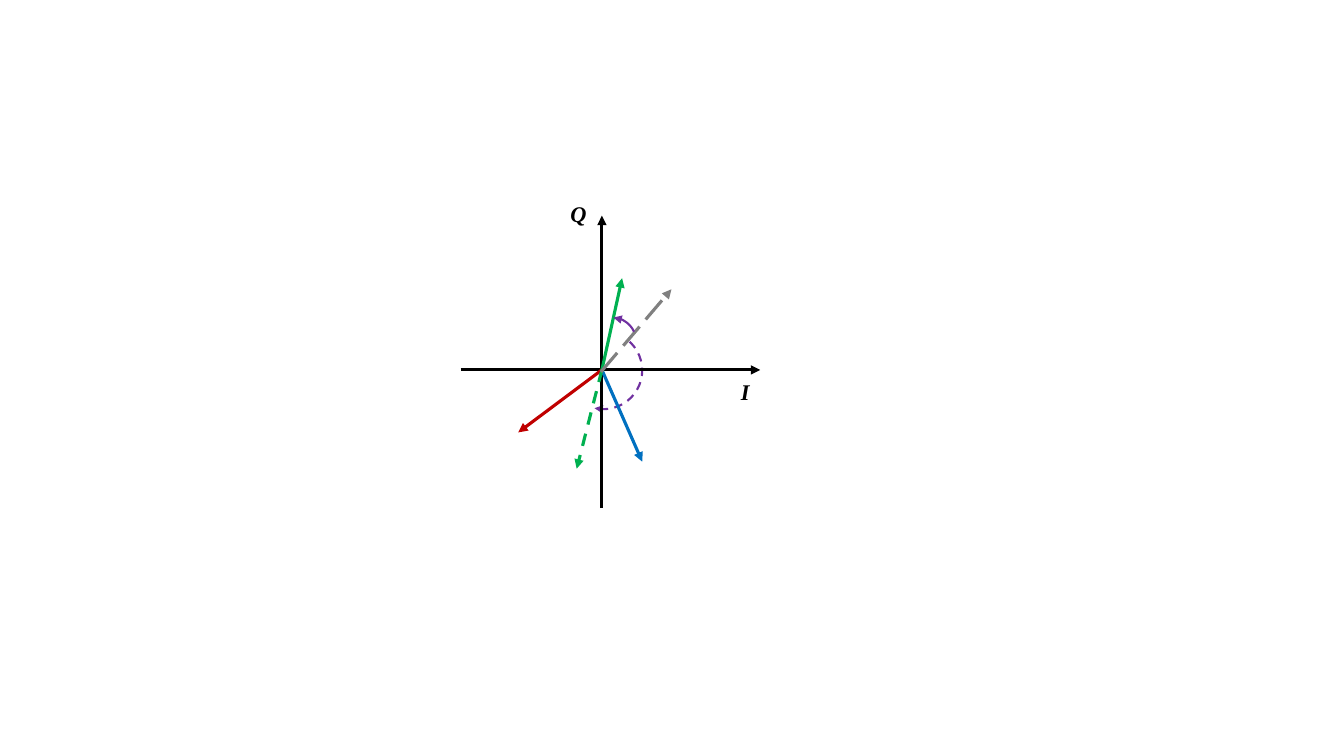
from dataclasses import dataclass
from typing import Optional

import pptx
import pptx.dml.color
import pptx.enum.dml
import pptx.enum.shapes
import pptx.enum.text
import pptx.oxml
import pptx.oxml.ns
import pptx.slide
import pptx.util

Inches = pptx.util.Inches
Pt = pptx.util.Pt
RGBColor = pptx.dml.color.RGBColor
Dash = pptx.enum.dml.MSO_LINE
Align = pptx.enum.text.PP_ALIGN

BLACK = RGBColor(0x00, 0x00, 0x00)
RED = RGBColor(0xC0, 0x00, 0x00)
BLUE = RGBColor(0x00, 0x70, 0xC0)
GREEN = RGBColor(0x00, 0xB0, 0x50)
GRAY = RGBColor(0x80, 0x80, 0x80)
PURPLE = RGBColor(0x70, 0x30, 0xA0)

ORIGIN = (5.97, 3.67)


@dataclass
class Arrow:
    start: tuple[float, float]
    end: tuple[float, float]
    color: RGBColor
    dash: Optional[Dash] = None


@dataclass
class AngleArc:
    left: float
    top: float
    diameter: float
    start_degrees: float
    end_degrees: float
    arrowhead: str
    dash: Optional[Dash] = None


@dataclass
class AxisLabel:
    text: str
    left: float
    top: float
    width: float
    alignment: Align


ROTATION_ARC = AngleArc(5.6, 3.29, 0.77, 312.39, 103.19, "tailEnd", Dash.DASH)
SMALL_ARC = AngleArc(5.83, 3.15, 0.48, 273.48, 335.58, "headEnd")

Q_AXIS = Arrow((ORIGIN[0], 5.04), (ORIGIN[0], 2.14), BLACK)
I_AXIS = Arrow((4.57, ORIGIN[1]), (7.54, ORIGIN[1]), BLACK)

VECTORS = [
    Arrow(ORIGIN, (5.14, 4.29), RED),
    Arrow(ORIGIN, (6.37, 4.58), BLUE),
    Arrow(ORIGIN, (6.17, 2.76), GREEN),
    Arrow(ORIGIN, (5.72, 4.65), GREEN, Dash.DASH),
    Arrow((5.96, 3.69), (6.66, 2.87), GRAY, Dash.LONG_DASH),
]

LABELS = [
    AxisLabel("I", 7.24, 3.7, 0.3, Align.CENTER),
    AxisLabel("Q", 5.56, 1.94, 0.38, Align.JUSTIFY),
]


def style_line(shape, color: RGBColor, width: float, dash: Optional[Dash], arrowhead: str) -> None:
    """Format the outline and put a triangle on the end named by arrowhead."""
    shape.line.color.rgb = color
    shape.line.width = Pt(width)
    if dash is not None:
        shape.line.dash_style = dash
    outline = shape.element.spPr.find(pptx.oxml.ns.qn("a:ln"))
    head = pptx.oxml.parse_xml(
        f'<a:{arrowhead} {pptx.oxml.ns.nsdecls("a")} type="triangle"/>'
    )
    outline.append(head)


def draw_arrow(slide: pptx.slide.Slide, arrow: Arrow) -> None:
    connector = slide.shapes.add_connector(
        pptx.enum.shapes.MSO_CONNECTOR.STRAIGHT,
        *map(Inches, arrow.start + arrow.end),
    )
    style_line(connector, arrow.color, 2.25, arrow.dash, "tailEnd")
    no_effects = pptx.oxml.parse_xml(f'<a:effectLst {pptx.oxml.ns.nsdecls("a")}/>')
    connector.element.spPr.append(no_effects)


def draw_arc(slide: pptx.slide.Slide, arc: AngleArc) -> None:
    shape = slide.shapes.add_shape(
        pptx.enum.shapes.MSO_SHAPE.ARC,
        Inches(arc.left), Inches(arc.top), Inches(arc.diameter), Inches(arc.diameter),
    )
    # An angle is stored in 1/60000 degree; adjustments are scaled by 100000.
    shape.adjustments[0] = arc.start_degrees * 0.6
    shape.adjustments[1] = arc.end_degrees * 0.6
    shape.fill.background()
    shape.shadow.inherit = False
    style_line(shape, PURPLE, 1.5, arc.dash, arc.arrowhead)


def draw_label(slide: pptx.slide.Slide, label: AxisLabel) -> None:
    box = slide.shapes.add_textbox(
        Inches(label.left), Inches(label.top), Inches(label.width), Inches(0.39)
    )
    text_frame = box.text_frame
    text_frame.text = label.text
    text_frame.word_wrap = False
    text_frame.auto_size = pptx.enum.text.MSO_AUTO_SIZE.SHAPE_TO_FIT_TEXT
    paragraph = text_frame.paragraphs[0]
    paragraph.alignment = label.alignment
    font = paragraph.runs[0].font
    font.name = "Times New Roman"
    font.size = Pt(16)
    font.bold = True
    font.italic = True
    font.color.rgb = BLACK


def main() -> None:
    presentation = pptx.Presentation()
    presentation.slide_width = Inches(13.33)
    presentation.slide_height = Inches(7.5)
    slide = presentation.slides.add_slide(presentation.slide_layouts[6])

    draw_arc(slide, ROTATION_ARC)
    draw_arrow(slide, Q_AXIS)
    for label in LABELS:
        draw_label(slide, label)
    for arrow in [I_AXIS, *VECTORS]:
        draw_arrow(slide, arrow)
    draw_arc(slide, SMALL_ARC)

    presentation.save("out.pptx")


if __name__ == "__main__":
    main()
